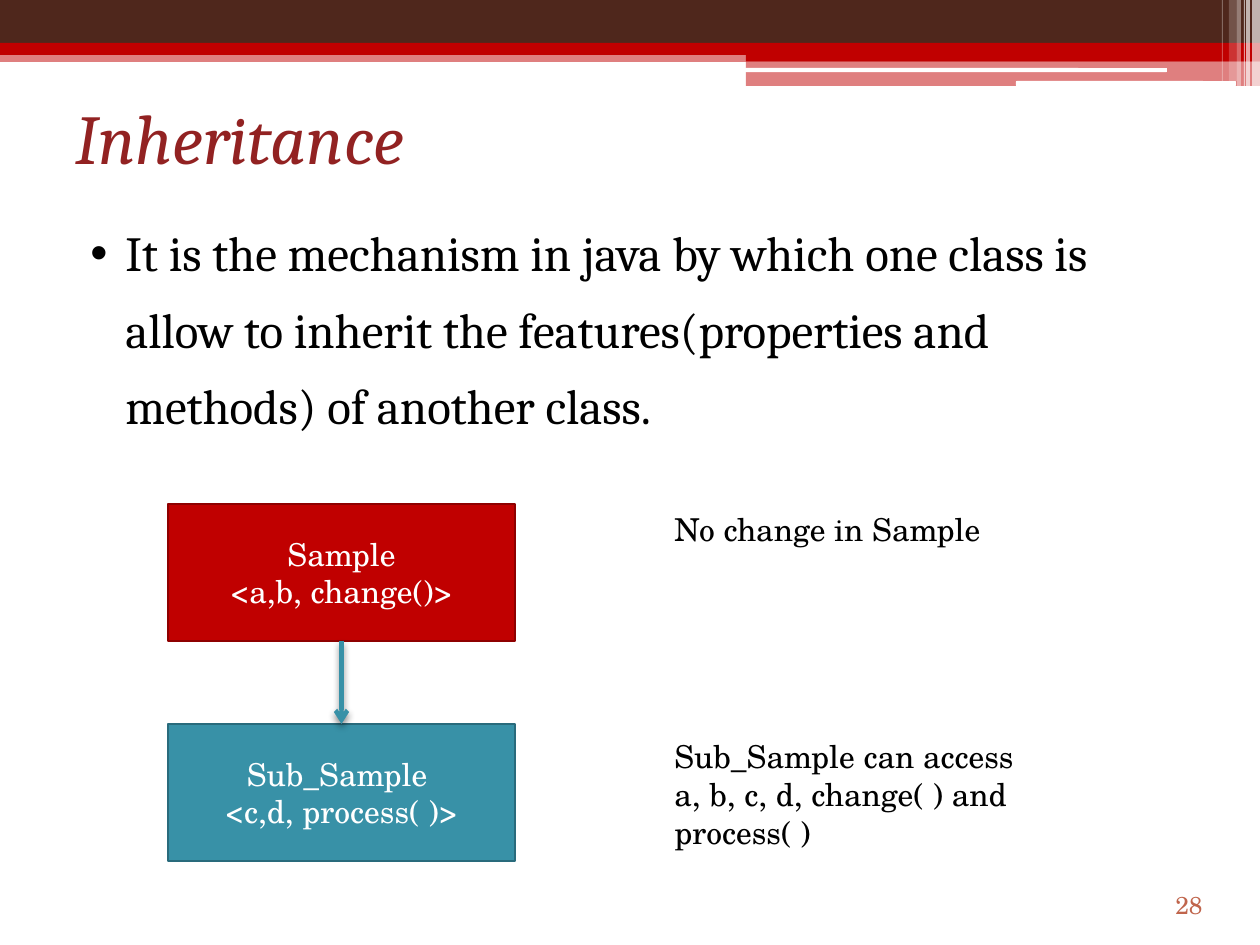
from lxml import etree
from pptx import Presentation
from pptx import util as u
from pptx.dml.color import RGBColor
from pptx.enum import shapes, text
from pptx.oxml.ns import qn

EMU_PER_PX = 914400 / 126
BODY_FONT, LABEL_FONT = "Cambria", "TeX Gyre Schola"
RED, TEAL, BROWN, WHITE, BLACK = "C00000", "3891A7", "4F271C", "FFFFFF", "000000"
BOTTOM, TOP = 2, 0


def px(*lengths):
    return [u.Emu(round(n * EMU_PER_PX)) for n in lengths]


def rgb(color):
    return RGBColor.from_string(color)


def add_xml(parent, tag, **attributes):
    return etree.SubElement(parent, qn(tag), attributes)


class Deck:
    """Holds the label style and the slide being filled."""

    font, size, color = LABEL_FONT, 18, BLACK

    def __init__(self, width, height):
        self.presentation = Presentation()
        self.presentation.slide_width, self.presentation.slide_height = px(width, height)
        self.slide = self.presentation.slides.add_slide(self.presentation.slide_layouts[6])

    def set_lines(self, frame, lines, align=text.PP_ALIGN.LEFT, anchor=text.MSO_ANCHOR.TOP,
                  font=None, size=None, color=None, italic=False):
        frame.word_wrap = True
        frame.vertical_anchor = anchor
        for i, line in enumerate(lines):
            paragraph = frame.paragraphs[0] if i == 0 else frame.add_paragraph()
            paragraph.alignment = align
            run = paragraph.add_run()
            run.text = line
            run.font.name = font or self.font
            run.font.size = u.Pt(size or self.size)
            run.font.italic = italic
            run.font.color.rgb = rgb(color or self.color)
        return frame.paragraphs

    def label(self, box, lines, **style):
        frame = self.slide.shapes.add_textbox(*px(*box)).text_frame
        return self.set_lines(frame, lines, **style)

    def bullet(self, box, line, **style):
        paragraph = self.label(box, [line], **style)[0]
        paragraph.line_spacing = 1.3
        properties = paragraph._p.get_or_add_pPr()
        indent, hanging = px(50, -35)
        properties.set("marL", str(indent))
        properties.set("indent", str(hanging))
        add_xml(properties, "a:buFont", typeface="Arial")
        add_xml(properties, "a:buChar", char="•")

    def block(self, box, fill, opacity=100, kind=shapes.MSO_SHAPE.RECTANGLE):
        shape = self.slide.shapes.add_shape(kind, *px(*box))
        shape.shadow.inherit = False
        shape.fill.solid()
        shape.fill.fore_color.rgb = rgb(fill)
        shape.line.fill.background()
        if opacity < 100:
            color = shape._element.spPr.find(qn("a:solidFill"))[0]
            add_xml(color, "a:alpha", val=str(opacity * 1000))
        return shape

    def class_box(self, box, fill, outline, lines):
        shape = self.block(box, fill)
        shape.line.color.rgb = rgb(outline)
        shape.line.width = u.Pt(1.5)
        self.set_lines(shape.text_frame, lines, text.PP_ALIGN.CENTER,
                       text.MSO_ANCHOR.MIDDLE, color=WHITE)
        return shape

    def arrow(self, start, end, color):
        arrow = self.slide.shapes.add_connector(shapes.MSO_CONNECTOR.STRAIGHT, 0, 0, 0, 0)
        arrow.begin_connect(start, BOTTOM)
        arrow.end_connect(end, TOP)
        arrow.line.color.rgb = rgb(color)
        arrow.line.width = u.Pt(2.5)
        properties = arrow._element.spPr
        add_xml(properties.find(qn("a:ln")), "a:tailEnd", type="arrow")
        # Soft shadow straight below
        effects = add_xml(properties, "a:effectLst")
        shadow = add_xml(effects, "a:outerShdw", blurRad=str(u.Pt(4)), dist=str(u.Pt(2)),
                         dir="5400000", rotWithShape="0")
        add_xml(add_xml(shadow, "a:srgbClr", val=BLACK), "a:alpha", val="45000")


def main():
    deck = Deck(1260, 945)

    # Header bands
    for box, fill, opacity in [
        ((0, 50, 1260, 12), RED, 50),
        ((0, 0, 1260, 43), BROWN, 100),
        ((0, 43, 1260, 12), RED, 100),
        ((746, 49, 514, 12), RED, 100),
        ((746, 61, 514, 25), RED, 50),
    ]:
        deck.block(box, fill, opacity)
    for box in [(745, 68, 422, 4), (1016, 81, 220, 5)]:
        deck.block(box, WHITE, kind=shapes.MSO_SHAPE.ROUNDED_RECTANGLE)

    # Pale stripes in the corner
    for left, width, height, opacity in [
        (1252, 8, 86, 65), (1246, 4, 86, 65), (1244, 1, 86, 60),
        (1237, 4, 86, 40), (1229, 8, 81, 20), (1222, 1, 81, 30),
    ]:
        deck.block((left, 0, width, height), WHITE, opacity)

    # Title, definition and slide number
    deck.label((63, 84, 1134, 105), ["Inheritance"], anchor=text.MSO_ANCHOR.MIDDLE,
               font=BODY_FONT, size=40, color="922222", italic=True)
    deck.bullet((63, 199, 1134, 640),
                "It is the mechanism in java by which one class is allow to inherit "
                "the features(properties and methods) of another class.",
                font=BODY_FONT, size=28)
    deck.label((1081, 876, 134, 50), ["28"], align=text.PP_ALIGN.RIGHT,
               anchor=text.MSO_ANCHOR.BOTTOM, size=14, color="C0654C")

    # Class diagram
    sample = deck.class_box((168, 504, 347, 137), RED, "8E0000",
                            ["Sample", "<a,b, change()>"])
    sub_sample = deck.class_box((168, 724, 347, 137), TEAL, "296B7C",
                                ["Sub_Sample ", "<c,d, process( )>"])
    deck.arrow(sample, sub_sample, TEAL)

    # Remarks beside the classes
    remarks = deck.label((662, 504, 451, 357), [
        "No change in Sample",
        "Sub_Sample can access",
        "a, b, c, d, change( ) and process( )",
    ])
    remarks[1].space_before = u.Pt(108)

    deck.presentation.save("out.pptx")


if __name__ == "__main__":
    main()
